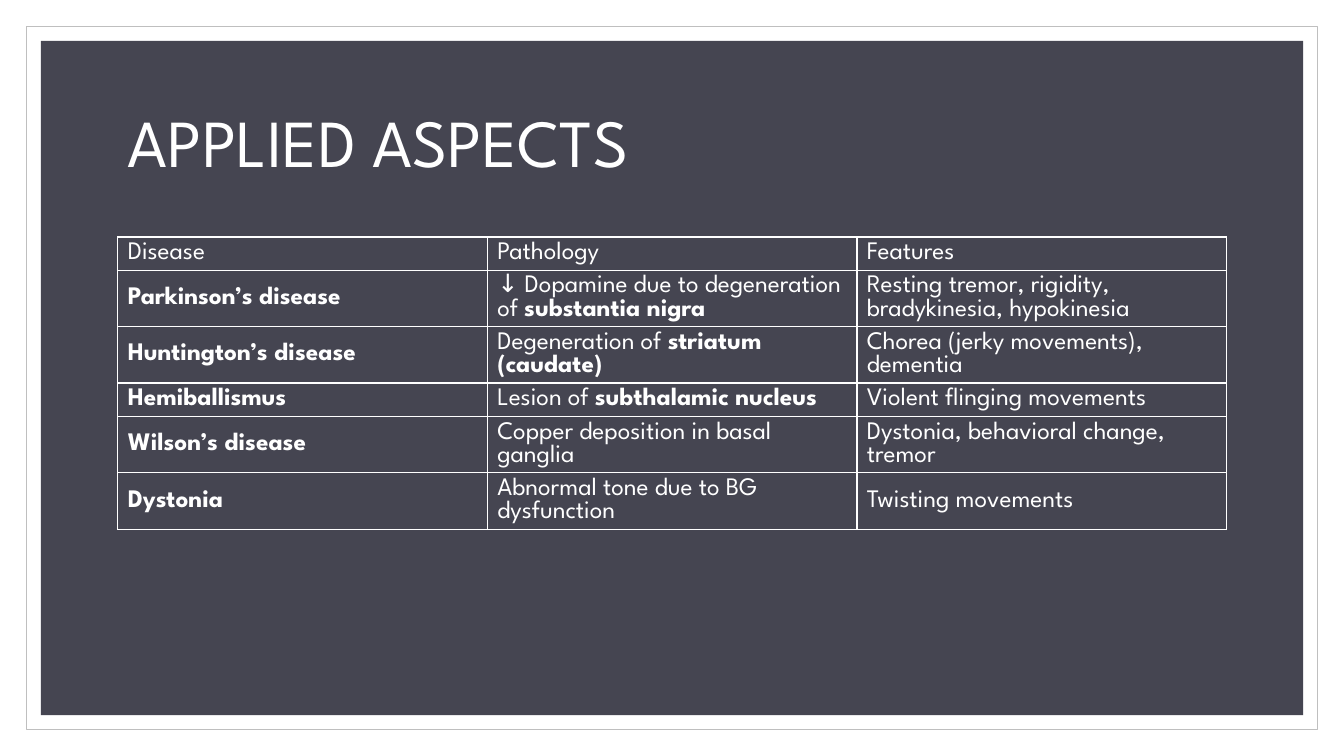
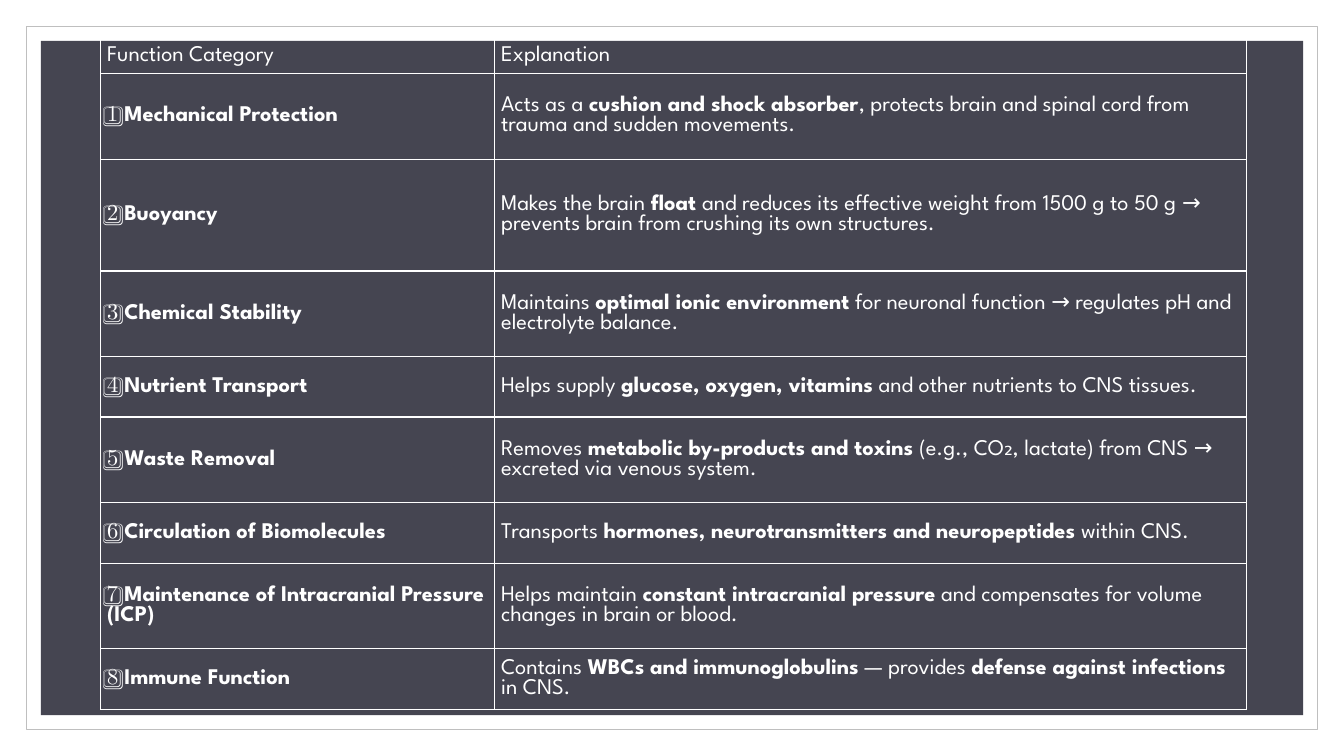
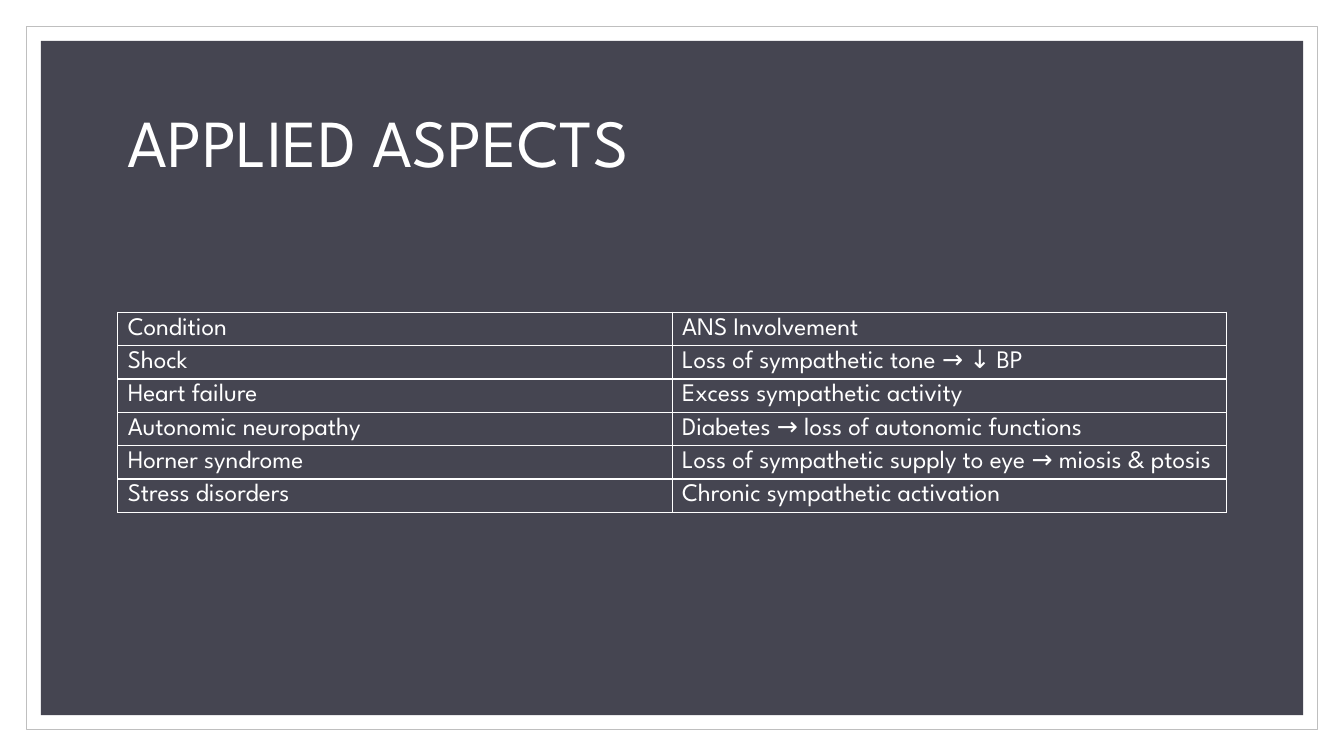
from lxml import etree
from pptx import Presentation
from pptx import util as u
from pptx.dml import color
from pptx.enum import shapes, text
from pptx.oxml import ns

FONT = "League Spartan"
WHITE, DARK, GREY = "FFFFFF", "454551", "BFBFBF"
WIDE, HIGH = 33.87, 19.05
LEFT, SPAN = 2.97, 27.94
TITLE, BLANK = 5, 6

BRAIN = [
    ["Disease", "Pathology", "Features"],
    ["*Parkinson’s disease*", "↓ Dopamine due to degeneration of *substantia nigra*",
     "Resting tremor, rigidity, bradykinesia, hypokinesia"],
    ["*Huntington’s disease*", "Degeneration of *striatum (caudate)*",
     "Chorea (jerky movements), dementia"],
    ["*Hemiballismus*", "Lesion of *subthalamic nucleus*", "Violent flinging movements"],
    ["*Wilson’s disease*", "Copper deposition in basal ganglia",
     "Dystonia, behavioral change, tremor"],
    ["*Dystonia*", "Abnormal tone due to BG dysfunction", "Twisting movements"],
]
FLUID = [
    ["Function Category", "Explanation"],
    ["*1️⃣ Mechanical Protection*",
     "Acts as a *cushion and shock absorber*, protects brain and spinal cord "
     "from trauma and sudden movements."],
    ["*2️⃣ Buoyancy*",
     "Makes the brain *float* and reduces its effective weight from 1500 g to 50 g → "
     "prevents brain from crushing its own structures."],
    ["*3️⃣ Chemical Stability*",
     "Maintains *optimal ionic environment* for neuronal function → "
     "regulates pH and electrolyte balance."],
    ["*4️⃣ Nutrient Transport*",
     "Helps supply *glucose, oxygen, vitamins* and other nutrients to CNS tissues."],
    ["*5️⃣ Waste Removal*",
     "Removes *metabolic by-products and toxins* (e.g., CO₂, lactate) from CNS → "
     "excreted via venous system."],
    ["*6️⃣ Circulation of Biomolecules*",
     "Transports *hormones, neurotransmitters and neuropeptides* within CNS."],
    ["*7️⃣ Maintenance of Intracranial Pressure (ICP)*",
     "Helps maintain *constant intracranial pressure* and compensates for "
     "volume changes in brain or blood."],
    ["*8️⃣ Immune Function*",
     "Contains *WBCs and immunoglobulins* — provides *defense against infections* in CNS."],
]
NERVES = [
    ["Condition", "ANS Involvement"],
    ["Shock", "Loss of sympathetic tone → ↓ BP"],
    ["Heart failure", "Excess sympathetic activity"],
    ["Autonomic neuropathy", "Diabetes → loss of autonomic functions"],
    ["Horner syndrome", "Loss of sympathetic supply to eye → miosis & ptosis"],
    ["Stress disorders", "Chronic sympathetic activation"],
]


def paint(part, tint):
    if isinstance(part, color.ColorFormat):
        part.rgb = color.RGBColor.from_string(tint)
    else:
        part.solid()
        part.fore_color.rgb = color.RGBColor.from_string(tint)


def style(run, size, bold=False):
    run.font.name = FONT
    run.font.size = u.Pt(size)
    run.font.bold = bold
    paint(run.font.color, WHITE)


def panel(slide, inset, fill, line=None):
    box = slide.shapes.add_shape(
        shapes.MSO_SHAPE.RECTANGLE, u.Cm(inset), u.Cm(inset),
        u.Cm(WIDE - 2 * inset), u.Cm(HIGH - 2 * inset))
    box.shadow.inherit = False
    paint(box.fill, fill)
    if line:
        paint(box.line.fill, line)
        box.line.width = u.Pt(0.5)
    else:
        box.line.fill.background()
    return box


def frame(deck, slide):
    tree = deck.slide_master.shapes.element
    panels = [panel(slide, 0.66, WHITE, GREY), panel(slide, 1.03, DARK)]
    for spot, box in enumerate(panels, 2):
        tree.insert(spot, box.element)


def head(slide, words):
    title = slide.shapes.title
    title.left, title.top = u.Cm(LEFT), u.Cm(1.78)
    title.width, title.height = u.Cm(SPAN), u.Cm(3.81)
    title.text_frame.text = words
    title.text_frame.vertical_anchor = text.MSO_ANCHOR.MIDDLE
    para = title.text_frame.paragraphs[0]
    para.alignment = text.PP_ALIGN.LEFT
    para.line_spacing = 0.9
    style(para.runs[0], 48)


def edge(cell):
    props = cell._tc.get_or_add_tcPr()
    for side in ("lnL", "lnR", "lnT", "lnB"):
        line = etree.SubElement(props, ns.qn("a:" + side), w=str(u.Pt(1)))
        fill = etree.SubElement(line, ns.qn("a:solidFill"))
        etree.SubElement(fill, ns.qn("a:srgbClr"), val=WHITE)


def write(cell, words, size, pad):
    edge(cell)
    cell.fill.background()
    cell.vertical_anchor = text.MSO_ANCHOR.MIDDLE
    cell.margin_left = cell.margin_right = u.Cm(pad)
    cell.margin_top = cell.margin_bottom = u.Cm(pad / 2)
    para = cell.text_frame.paragraphs[0]
    for turn, piece in enumerate(words.split("*")):
        if piece:
            run = para.add_run()
            run.text = piece
            style(run, size, turn % 2 == 1)


def grid(slide, data, left, top, cols, rows, size=18, pad=0.25):
    shape = slide.shapes.add_table(
        len(data), len(cols), u.Cm(left), u.Cm(top), u.Cm(sum(cols)), u.Cm(sum(rows)))
    table = shape.table
    table.first_row = table.horz_banding = False
    for col, width in zip(table.columns, cols):
        col.width = u.Cm(width)
    for row, height, line in zip(table.rows, rows, data):
        row.height = u.Cm(height)
        for cell, words in zip(row.cells, line):
            write(cell, words, size, pad)


def main():
    deck = Presentation()
    deck.slide_width, deck.slide_height = u.Cm(WIDE), u.Cm(HIGH)
    first, second, third = [
        deck.slides.add_slide(deck.slide_layouts[kind]) for kind in (TITLE, BLANK, TITLE)]
    frame(deck, first)

    head(first, "APPLIED ASPECTS")
    grid(first, BRAIN, LEFT, 5.97, [SPAN / 3] * 3, [0.84, 1.42, 1.42, 0.84, 1.42, 1.42])

    low, mid, tall = 1.52, 2.16, 2.82
    grid(second, FLUID, 2.54, 0.99, [9.93, 18.95],
         [0.86, mid, tall, mid, low, mid, low, mid, low], 16, 0.16)

    head(third, "APPLIED ASPECTS")
    grid(third, NERVES, LEFT, 7.87, [SPAN / 2] * 2, [0.84] * len(NERVES))
    deck.save("out.pptx")


if __name__ == "__main__":
    main()
